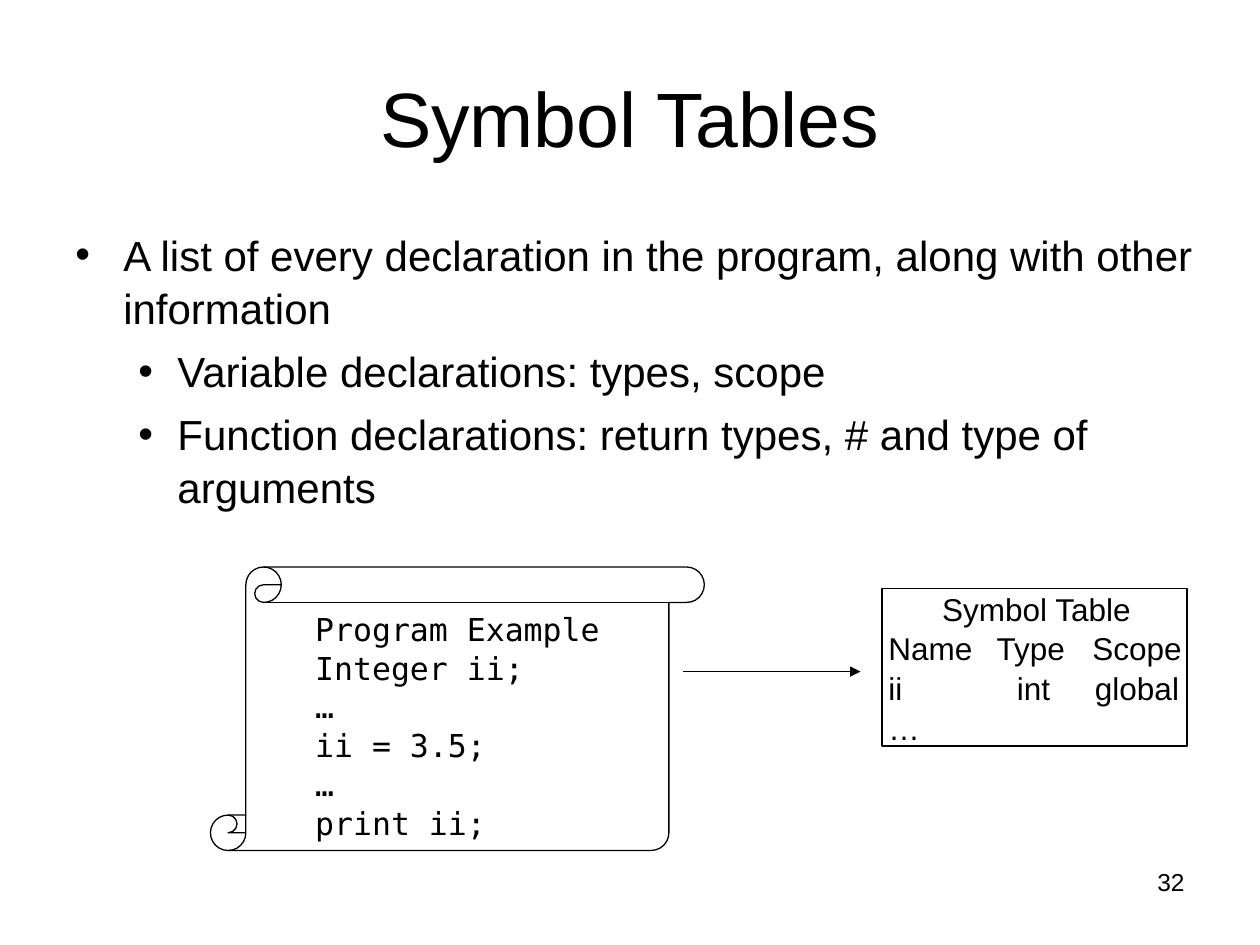
from lxml.etree import SubElement
from pptx import Presentation
from pptx.dml.color import RGBColor
from pptx.enum.shapes import MSO_CONNECTOR, MSO_SHAPE
from pptx.enum.text import MSO_ANCHOR, PP_ALIGN
from pptx.oxml.ns import qn
from pptx.util import Inches, Pt

COLORS = {"ink": "000000", "paper": "FFFFFF"}
INK = RGBColor.from_string(COLORS["ink"])
SANS, MONO = "Arial", "DejaVu Sans Mono"

BULLETS = [
    (0, "A list of every declaration in the program, along with other information"),
    (1, "Variable declarations: types, scope"),
    (1, "Function declarations: return types, # and type of arguments"),
]
INDENTS = [(0.38, -0.38), (0.81, -0.31)]  # left margin, first line
CODE = ["Program Example", "Integer ii;", "…", "ii = 3.5;", "…", "print ii;"]
SYMBOL_ROWS = [  # cells, tab stops
    (["Name", "Type", "Scope"], [0.86, 1.62]),
    (["ii", "int", "global"], [1.02, 1.64]),
    (["…"], []),
]


def set_frame(sp, insets=(0.1, 0.05, 0.1, 0.05), anchor=MSO_ANCHOR.TOP):
    tf = sp.text_frame
    sides = ("margin_left", "margin_top", "margin_right", "margin_bottom")
    settings = dict(zip(sides, map(Inches, insets)))
    settings.update(word_wrap=True, vertical_anchor=anchor)
    for name, value in settings.items():
        setattr(tf, name, value)
    return tf


def add_line(tf, text, size, font=SANS, **paragraph_format):
    """Write one paragraph, reusing the empty first one."""
    p = tf.paragraphs[0] if not tf.paragraphs[0].runs else tf.add_paragraph()
    for name, value in paragraph_format.items():
        setattr(p, name, value)
    r = p.add_run()
    r.text = text
    for name, value in {"name": font, "size": Pt(size)}.items():
        setattr(r.font, name, value)
    r.font.color.rgb = INK
    return p


def add_outline(slide, kind, box):
    sp = slide.shapes.add_shape(kind, *map(Inches, box))
    sp.shadow.inherit = False
    sp.fill.background()
    sp.line.color.rgb = INK
    sp.line.width = Pt(0.74)
    return sp


def add_label(slide, box, text, size, align, anchor=MSO_ANCHOR.TOP):
    sp = slide.shapes.add_textbox(*map(Inches, box))
    add_line(set_frame(sp, anchor=anchor), text, size, alignment=align)


def add_bullets(slide, box):
    tf = set_frame(slide.shapes.add_textbox(*map(Inches, box)))
    for level, text in BULLETS:
        p = add_line(tf, text, 24, level=level, space_before=Pt(6),
                     line_spacing=1.05, alignment=PP_ALIGN.LEFT)
        pPr = p._p.get_or_add_pPr()
        for name, value in zip(("marL", "indent"), INDENTS[level]):
            pPr.set(name, str(Inches(value)))
        SubElement(pPr, qn("a:buFont"), typeface=SANS)
        SubElement(pPr, qn("a:buChar"), char="•")


def add_program(slide, box):
    sp = add_outline(slide, MSO_SHAPE.VERTICAL_SCROLL, box)
    sp.adjustments[0] = 0.125
    tf = set_frame(sp, insets=(0.55, 0.05, 0.1, 0.05))
    for text in CODE:
        add_line(tf, text, 18, MONO, line_spacing=1.03, alignment=PP_ALIGN.LEFT)


def add_symbol_table(slide, box):
    sp = add_outline(slide, MSO_SHAPE.RECTANGLE, box)
    tf = set_frame(sp, (0.05, 0.02, 0.02, 0.02), MSO_ANCHOR.MIDDLE)
    add_line(tf, "Symbol Table", 18, line_spacing=1.05, alignment=PP_ALIGN.CENTER)
    for cells, stops in SYMBOL_ROWS:
        p = add_line(tf, "\t".join(cells), 18, line_spacing=1.05,
                     alignment=PP_ALIGN.LEFT)
        if stops:
            tabs = SubElement(p._p.get_or_add_pPr(), qn("a:tabLst"))
            for stop in stops:
                SubElement(tabs, qn("a:tab"), pos=str(Inches(stop)), algn="l")


def add_arrow(slide, x1, y1, x2, y2):
    line = slide.shapes.add_connector(
        MSO_CONNECTOR.STRAIGHT, *map(Inches, (x1, y1, x2, y2)))
    line.line.color.rgb = INK
    line.line.width = Pt(0.74)
    SubElement(line.line._get_or_add_ln(), qn("a:tailEnd"), type="triangle")
    SubElement(line._element.spPr, qn("a:effectLst"))


def build_slide(prs):
    slide = prs.slides.add_slide(prs.slide_layouts[6])
    fill = slide.background.fill
    fill.solid()
    fill.fore_color.rgb = RGBColor.from_string(COLORS["paper"])
    # Page number, title and bullets
    add_label(slide, (7.17, 6.83, 2.33, 0.52), "32", 14, PP_ALIGN.RIGHT)
    add_label(slide, (0.5, 0.3, 9, 1.25), "Symbol Tables", 44,
              PP_ALIGN.CENTER, MSO_ANCHOR.MIDDLE)
    add_bullets(slide, (0.5, 1.75, 9.42, 4.95))
    # Program and the table made from it
    add_program(slide, (1.67, 4.5, 3.92, 2.25))
    add_symbol_table(slide, (7, 4.67, 2.42, 1.25))
    add_arrow(slide, 5.42, 5.33, 6.83, 5.33)


prs = Presentation()
prs.slide_width, prs.slide_height = Inches(10), Inches(7.5)
build_slide(prs)
prs.save("out.pptx")
